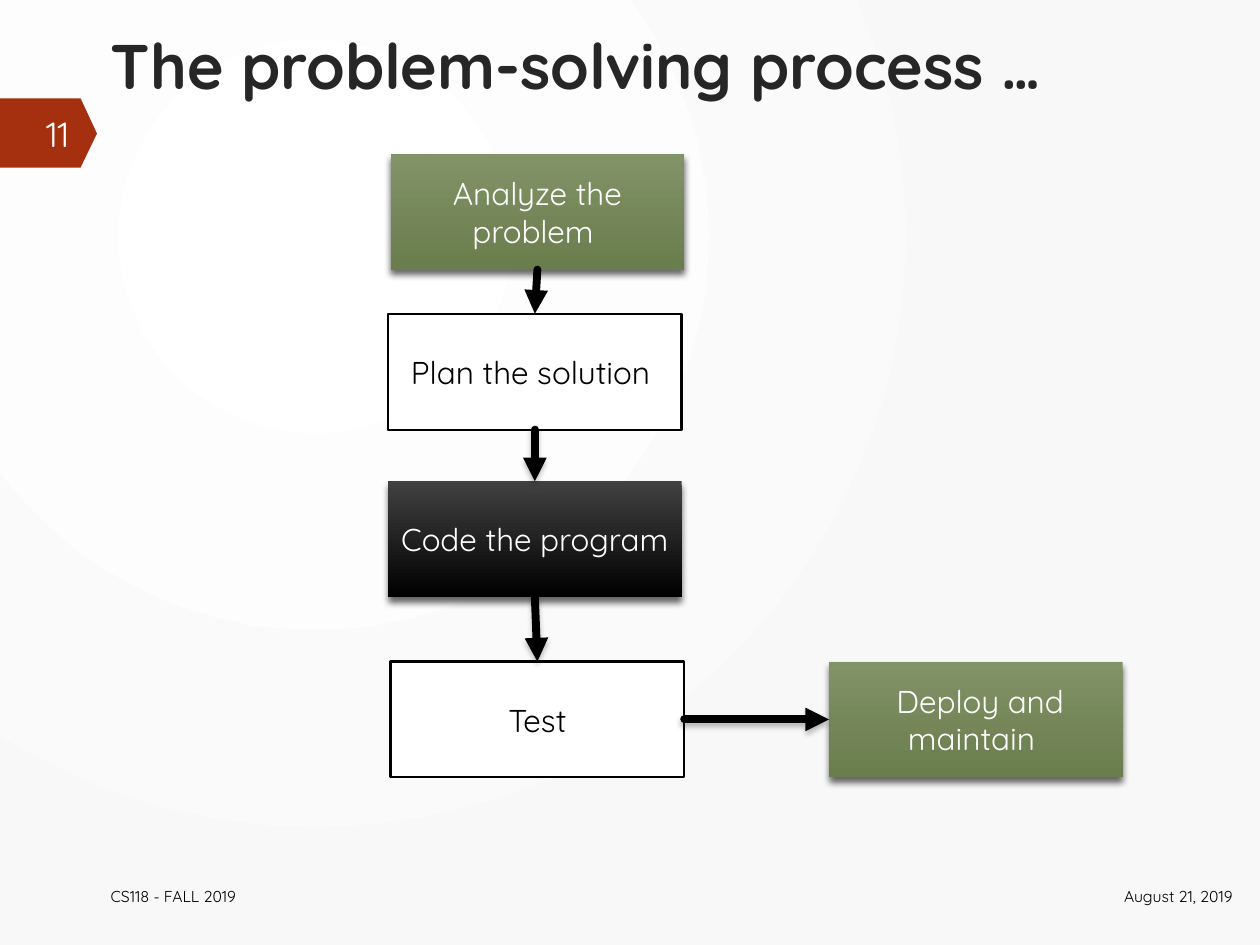
from dataclasses import dataclass

from lxml.etree import SubElement
from pptx import Presentation
from pptx.dml.color import RGBColor
from pptx.enum.shapes import MSO_CONNECTOR, MSO_SHAPE
from pptx.enum.text import MSO_ANCHOR, MSO_AUTO_SIZE, PP_ALIGN
from pptx.oxml.ns import qn
from pptx.util import Inches, Pt

TOP, LEFT, BOTTOM, RIGHT = range(4)  # connection sites of a rectangle


@dataclass(frozen=True)
class Theme:
    font: str = "Quicksand"
    title_size: float = 36
    number_size: float = 20
    box_size: float = 18
    footer_size: float = 9
    title: str = "262626"
    black: str = "000000"
    white: str = "FFFFFF"
    number: str = "FEFFFF"
    tag: str = "A53010"
    background: tuple = ("FFFFFF", "F8F8F8")
    green: tuple = ("819367", "6A7D4D")
    dark: tuple = ("414141", "000000")


class SlideBuilder:
    def __init__(self, slide, theme):
        self.s = slide
        self.theme = theme

    def set_text(self, sp, text, size, color, align=PP_ALIGN.LEFT,
                 anchor=MSO_ANCHOR.MIDDLE, bold=False):
        tf = sp.text_frame
        tf.text = text
        tf.word_wrap = True
        tf.auto_size = MSO_AUTO_SIZE.NONE
        tf.vertical_anchor = anchor
        p = tf.paragraphs[0]
        p.alignment = align
        font = p.runs[0].font
        font.name, font.size, font.bold = self.theme.font, Pt(size), bold
        font.color.rgb = RGBColor.from_string(color)

    def gradient(self, fill, colors):
        fill.gradient()
        for stop, color, position in zip(fill.gradient_stops, colors, (0, 1)):
            stop.color.rgb = RGBColor.from_string(color)
            stop.position = position

    def shadow(self, sp, alpha, blur, distance):
        """Give the shape a black shadow that falls straight down."""
        effects = sp._element.spPr.find(qn("a:effectLst"))
        outer = SubElement(effects, qn("a:outerShdw"), blurRad=str(Pt(blur)),
                           dist=str(Pt(distance)), dir="5400000", rotWithShape="0")
        color = SubElement(outer, qn("a:srgbClr"), val=self.theme.black)
        SubElement(color, qn("a:alpha"), val=str(alpha * 1000))

    def background(self):
        """Fill with rings centred a quarter of the way in from the top left."""
        self.gradient(self.s.background.fill, self.theme.background)
        grad = self.s._element.find(".//" + qn("a:gradFill"))
        grad.remove(grad.find(qn("a:lin")))
        rings = SubElement(grad, qn("a:path"), path="circle")
        SubElement(rings, qn("a:fillToRect"), l="50000", t="50000",
                   r="100000", b="100000")

    def title(self, text, left, top, width, height):
        sp = self.s.shapes.title
        sp.left, sp.top = Inches(left), Inches(top)
        sp.width, sp.height = Inches(width), Inches(height)
        self.set_text(sp, text, self.theme.title_size, self.theme.title,
                      anchor=MSO_ANCHOR.TOP, bold=True)

    def label(self, text, left, top, width, size, color, align=PP_ALIGN.LEFT):
        sp = self.s.shapes.add_textbox(Inches(left), Inches(top),
                                       Inches(width), Inches(0.4))
        self.set_text(sp, text, size, color, align)

    def number_tag(self, number):
        outline = self.s.shapes.build_freeform(0, Inches(0.78))
        outline.add_line_segments([
            (Inches(x), Inches(y))
            for x, y in ((0.64, 0.78), (0.77, 1.06), (0.64, 1.33), (0, 1.33))])
        sp = outline.convert_to_shape()
        sp.shadow.inherit = False
        sp.fill.solid()
        sp.fill.fore_color.rgb = RGBColor.from_string(self.theme.tag)
        sp.line.fill.background()
        self.label(number, 0.01, 0.86, 0.64, self.theme.number_size,
                   self.theme.number, PP_ALIGN.RIGHT)

    def box(self, text, left, top, colors=None):
        """Add a step: shaded with the given colours, or outlined without them."""
        sp = self.s.shapes.add_shape(MSO_SHAPE.RECTANGLE, Inches(left), Inches(top),
                                     Inches(2.33), Inches(0.92))
        sp.shadow.inherit = False
        if colors:
            self.gradient(sp.fill, colors)
            sp.fill.gradient_angle = 270
            sp.line.fill.background()
            self.shadow(sp, 60, 4, 3)
        else:
            sp.fill.solid()
            sp.fill.fore_color.rgb = RGBColor.from_string(self.theme.white)
            sp.line.color.rgb = RGBColor.from_string(self.theme.black)
            sp.line.width = Pt(1.25)
        self.set_text(sp, text, self.theme.box_size,
                      self.theme.white if colors else self.theme.black,
                      PP_ALIGN.CENTER)
        return sp

    def arrow(self, start, end, sites=(BOTTOM, TOP), shadow=True):
        cxn = self.s.shapes.add_connector(MSO_CONNECTOR.STRAIGHT, 0, 0, 0, 0)
        cxn.begin_connect(start, sites[0])
        cxn.end_connect(end, sites[1])
        cxn.line.color.rgb = RGBColor.from_string(self.theme.black)
        cxn.line.width = Pt(4.5)
        ln = cxn._element.spPr.find(qn("a:ln"))
        ln.set("cap", "rnd")
        SubElement(ln, qn("a:round"))
        SubElement(ln, qn("a:tailEnd"), type="triangle")
        SubElement(cxn._element.spPr, qn("a:effectLst"))
        if shadow:
            self.shadow(cxn, 25, 3, 2)


def main():
    prs = Presentation()
    prs.slide_width, prs.slide_height = Inches(10), Inches(7.5)
    theme = Theme()
    slide = SlideBuilder(prs.slides.add_slide(prs.slide_layouts[5]), theme)

    slide.background()
    slide.number_tag("11")
    slide.title("The problem-solving process …", 0.78, 0.16, 9.1, 0.89)
    slide.label("August 21, 2019", 8.41, 6.91, 1.47, theme.footer_size,
                theme.black, PP_ALIGN.RIGHT)
    slide.label("CS118 - FALL 2019", 0.78, 6.91, 6.81, theme.footer_size, theme.black)

    analyze = slide.box("Analyze the problem ", 3.1, 1.22, theme.green)
    plan = slide.box("Plan the solution ", 3.08, 2.49)
    code = slide.box("Code the program ", 3.08, 3.82, theme.dark)
    test = slide.box("Test", 3.1, 5.25)
    deploy = slide.box(" Deploy and maintain ", 6.58, 5.25, theme.green)

    slide.arrow(analyze, plan, shadow=False)
    slide.arrow(plan, code)
    slide.arrow(code, test)
    slide.arrow(test, deploy, (RIGHT, LEFT))

    prs.save("out.pptx")


if __name__ == "__main__":
    main()
